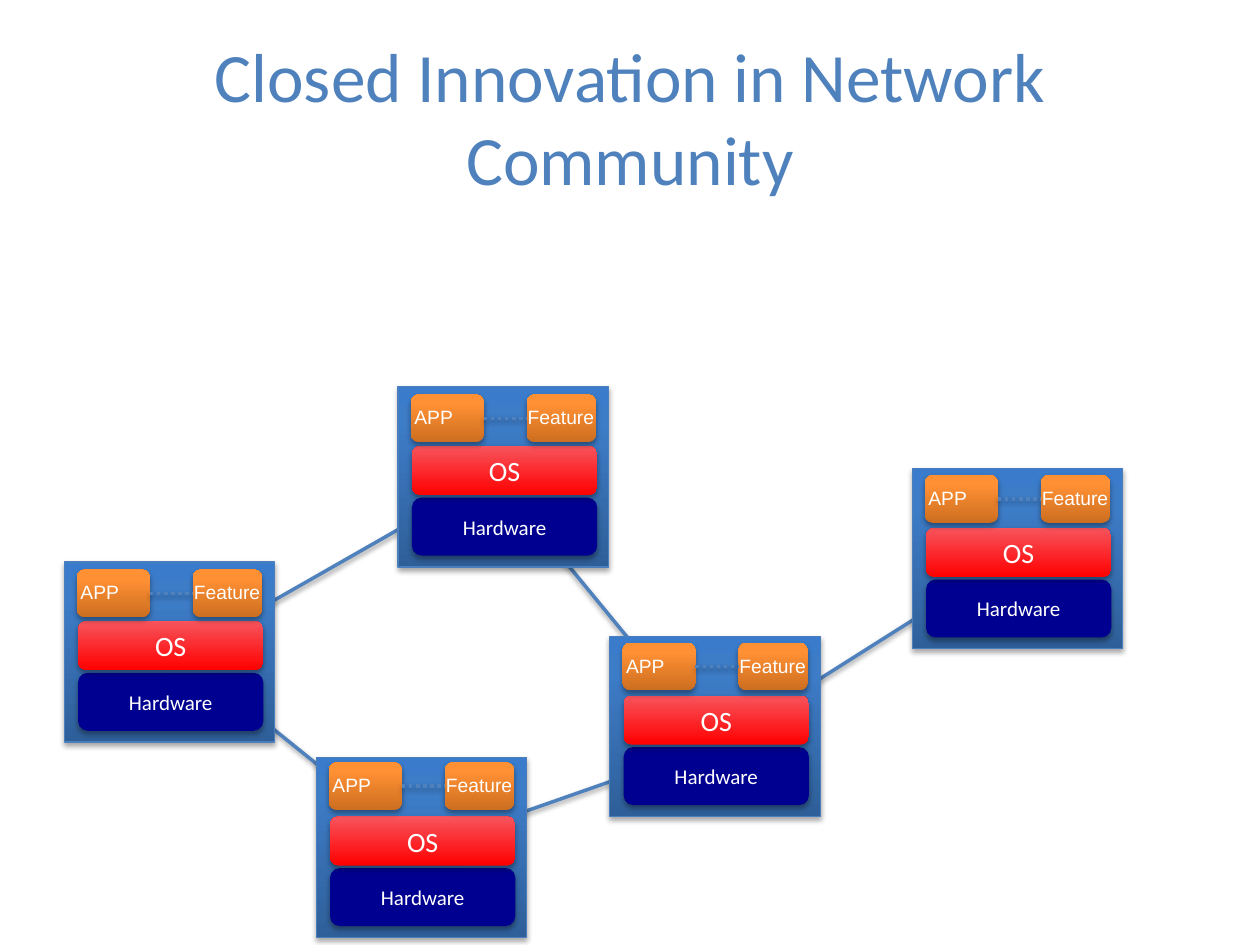
from typing import NamedTuple

from pptx import Presentation
from pptx import util as u
from pptx.dml.color import RGBColor
from pptx.enum import dml, shapes, text
from pptx.oxml import parse_xml
from pptx.oxml.ns import nsdecls

COLUMNS, ROWS = 100, 75
BLUE = RGBColor(0x4F, 0x81, 0xBD)
EDGE = RGBColor(0x4B, 0x7E, 0xBC)
NAVY = RGBColor(0x00, 0x00, 0x90)
WHITE = RGBColor(0xFF, 0xFF, 0xFF)
CARD_FADE = (
    (0, RGBColor(0x2F, 0x5F, 0x99)),
    (80, RGBColor(0x3D, 0x7C, 0xC7)),
    (100, RGBColor(0x3A, 0x7C, 0xCB)),
)
APP_FADE = (
    (0, RGBColor(0xCC, 0x6E, 0x20)),
    (80, RGBColor(0xFF, 0x90, 0x34)),
    (100, RGBColor(0xFF, 0x91, 0x36)),
)
OS_FADE = ((0, RGBColor(0xFF, 0x00, 0x00)), (100, RGBColor(0xF7, 0x54, 0x5C)))


class Node(NamedTuple):
    """A network node: card corner, link point and top of its app row."""

    left: float
    top: float
    hub: tuple
    app_top: float


NODES = {
    "west": Node(5.1, 44.6, (14.3, 51.9), 45.2),
    "north": Node(31.6, 30.7, (39.2, 37.7), 31.3),
    "east": Node(72.4, 37.2, (80.7, 44), 37.7),
    "south": Node(25.1, 60.1, (33.4, 67.3), 60.5),
    "centre": Node(48.4, 50.5, (56.8, 59.1), 51),
}
LINKS = (
    ("west", "north"),
    ("north", "centre"),
    ("south", "centre"),
    ("west", "south"),
    ("centre", "east"),
)


class Sketch:
    """Draws styled elements on one slide, measured in grid columns and rows."""

    def __init__(self, deck):
        self.page = deck.slides.add_slide(deck.slide_layouts[6])
        self.column = deck.slide_width / COLUMNS
        self.row = deck.slide_height / ROWS

    def place(self, *lengths):
        """Turn alternating columns and rows into slide lengths."""
        return [
            u.Emu(round(length * (self.row if index % 2 else self.column)))
            for index, length in enumerate(lengths)
        ]

    def shadow(self, shape, opacity, distance):
        """Drop a soft black shadow straight down."""
        shape._element.spPr.append(parse_xml(
            f'<a:effectLst {nsdecls("a")}><a:outerShdw blurRad="{u.Pt(3.1)}" '
            f'dist="{u.Pt(distance)}" dir="5400000" rotWithShape="0">'
            f'<a:srgbClr val="000000"><a:alpha val="{opacity * 1000}"/>'
            '</a:srgbClr></a:outerShdw></a:effectLst>'
        ))

    def letter(self, shape, words, size, font, colour):
        """Set the words of a shape and format them."""
        frame = shape.text_frame
        frame.text = words
        for para in frame.paragraphs:
            for span in para.runs:
                span.font.size = u.Pt(size)
                span.font.name = font
                span.font.color.rgb = colour
        return frame

    def box(self, target, kind, area, fill, edge=None):
        """Add a shape with a solid fill or an upward fade."""
        shape = target.add_shape(kind, *self.place(*area))
        if isinstance(fill, RGBColor):
            shape.fill.solid()
            shape.fill.fore_color.rgb = fill
        else:
            stops = "".join(
                f'<a:gs pos="{share * 1000}"><a:srgbClr val="{colour}"/></a:gs>'
                for share, colour in fill
            )
            shape._element.spPr.insert(2, parse_xml(
                f'<a:gradFill {nsdecls("a")} rotWithShape="1"><a:gsLst>{stops}'
                '</a:gsLst><a:lin ang="16200000" scaled="0"/></a:gradFill>'
            ))
        if edge is None:
            shape.line.fill.background()
        else:
            shape.line.color.rgb = edge
            shape.line.width = u.Pt(0.75)
        self.shadow(shape, 35, 1.8)
        return shape

    def layer(self, area, fill, words, size):
        """Add a rounded layer with centred words."""
        shape = self.box(self.page.shapes, shapes.MSO_SHAPE.ROUNDED_RECTANGLE, area, fill)
        frame = self.letter(shape, words, size, "Calibri", WHITE)
        frame.vertical_anchor = text.MSO_ANCHOR.MIDDLE
        frame.paragraphs[0].alignment = text.PP_ALIGN.CENTER

    def link(self, target, start, end, dash=None):
        """Add a straight blue line."""
        line = target.add_connector(
            shapes.MSO_CONNECTOR.STRAIGHT, *self.place(*start, *end))
        line.line.color.rgb = BLUE
        line.line.width = u.Pt(2)
        if dash is not None:
            line.line.dash_style = dash
        self.shadow(line, 38, 1.6)

    def label(self, target, area, words):
        """Add a small unwrapped label."""
        box = target.add_textbox(*self.place(*area))
        frame = self.letter(box, words, 11, "Arial", WHITE)
        frame.word_wrap = False
        frame.auto_size = text.MSO_AUTO_SIZE.SHAPE_TO_FIT_TEXT

    def title(self, area, words):
        """Add the centred slide title."""
        box = self.page.shapes.add_textbox(*self.place(*area))
        frame = self.letter(box, words, 39.6, "Calibri", BLUE)
        frame.word_wrap = True
        frame.vertical_anchor = text.MSO_ANCHOR.MIDDLE
        frame.paragraphs[0].alignment = text.PP_ALIGN.CENTER

    def apps(self, left, top):
        """Add the grouped app row: two tiles, dots between them and labels."""
        row = self.page.shapes.add_group_shape().shapes
        for offset, width in ((1, 5.8), (10.2, 5.5)):
            self.box(row, shapes.MSO_SHAPE.ROUNDED_RECTANGLE,
                     (left + offset, top, width, 3.8), APP_FADE)
        self.link(row, (left + 6.8, top + 1.9), (left + 10.2, top + 1.9),
                  dml.MSO_LINE.ROUND_DOT)
        for offset, width, words in ((0.3, 5.1, "APP"), (9.3, 7.3, "Feature")):
            self.label(row, (left + offset, top + 0.4, width, 2.9), words)

    def node(self, node):
        """Add a card with its hardware, OS and app layers."""
        left, top = node.left, node.top
        self.box(self.page.shapes, shapes.MSO_SHAPE.RECTANGLE,
                 (left, top, 16.7, 14.3), CARD_FADE, EDGE)
        self.layer((left + 1.1, top + 8.8, 14.7, 4.6), NAVY, "Hardware", 12)
        self.layer((left + 1.1, top + 4.7, 14.7, 3.9), OS_FADE, "OS", 16)
        self.apps(left, node.app_top)


def main():
    """Build the slide and save it."""
    deck = Presentation()
    deck.slide_width, deck.slide_height = u.Inches(10), u.Inches(7.5)
    sketch = Sketch(deck)
    sketch.title((5, 3, 90, 12.5), "Closed Innovation in Network Community")
    for start, end in LINKS:
        sketch.link(sketch.page.shapes, NODES[start].hub, NODES[end].hub)
    for node in NODES.values():
        sketch.node(node)
    deck.save("out.pptx")


if __name__ == "__main__":
    main()
